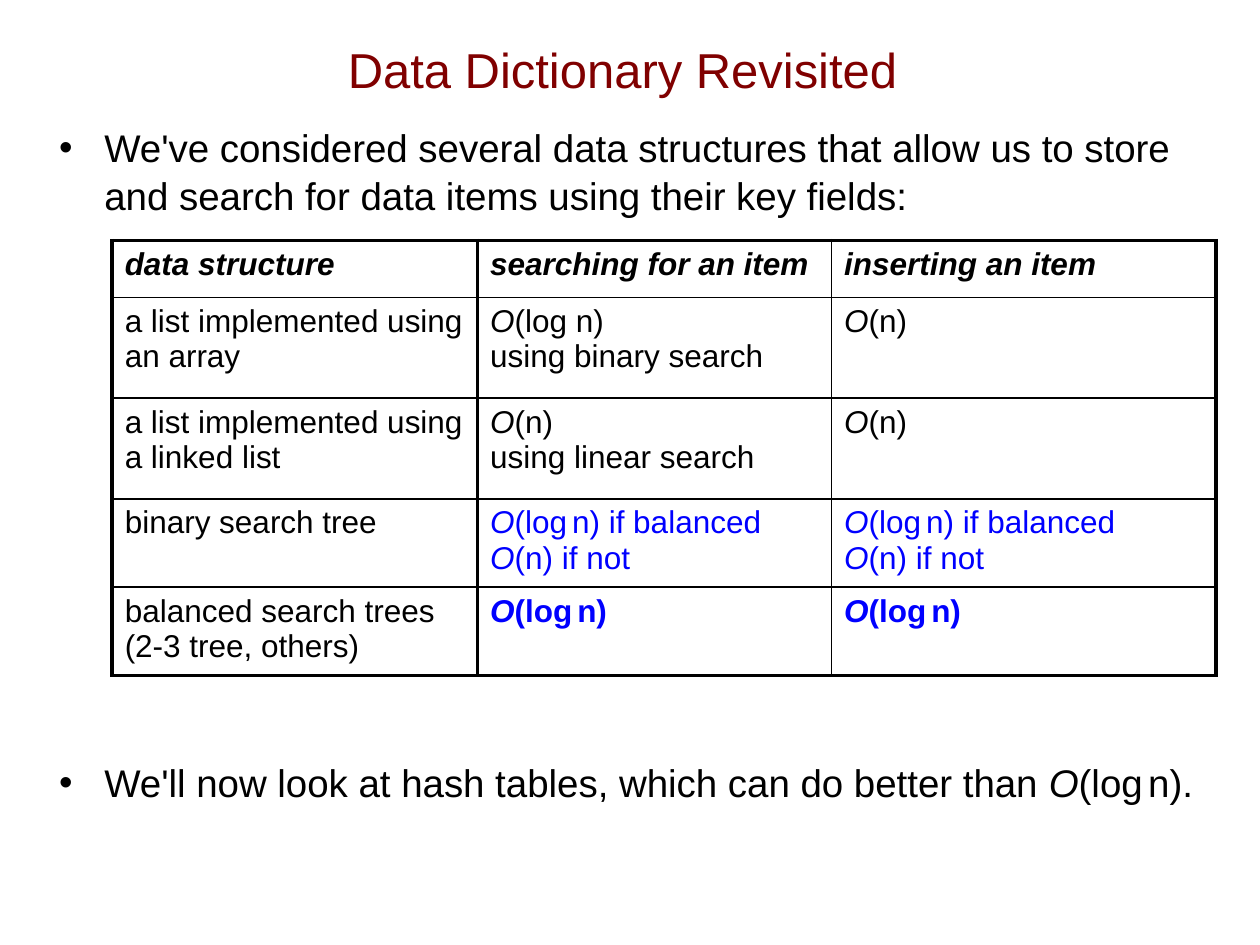
from lxml import etree
from pptx import Presentation
from pptx.dml.color import RGBColor
from pptx.enum.text import MSO_ANCHOR, PP_ALIGN
from pptx.oxml.ns import qn
from pptx.util import Inches, Pt

MIDDLE = MSO_ANCHOR.MIDDLE
CENTER = PP_ALIGN.CENTER
FONT = "Arial"
COLORS = {"title": "800000", "text": "000000", "tree": "0000FF",
          "border": "000000", "paper": "FFFFFF"}
TITLE_SIZE, BODY_SIZE, CELL_SIZE = 28, 22, 18
THICK, THIN = 2.25, 1

COLUMN_WIDTHS = [2.9, 2.81, 3.05]
ROW_HEIGHTS = [0.45, 0.8, 0.8, 0.7, 0.7]


def plain(text, **style):
    """One line holding a single run."""
    return [(text, style)]


def big_o(argument, **style):
    """Runs for a bound, with the O in italics."""
    return [("O", {**style, "italic": True}), (argument, style)]


def big_o_log(ending, gap_size, **style):
    """Runs for O(log n), with a narrow gap before the n."""
    return [*big_o("(log", **style), (" ", {**style, "size": gap_size}),
            (ending, style)]


def table_rows():
    """Each cell is a list of paragraphs, each paragraph a list of runs."""
    heading = {"bold": True, "italic": True}
    blue = {"color": "tree"}
    tree_bounds = [big_o_log("n) if balanced", 10, **blue),
                   big_o("(n) if not", **blue)]
    balanced_bound = [big_o_log("n)", 10, bold=True, **blue)]
    return [
        [[plain(label, **heading)] for label in
         ("data structure", "searching for an item", "inserting an item")],
        [[plain("a list implemented using an array")],
         [big_o("(log n)"), plain("using binary search")],
         [big_o("(n)")]],
        [[plain("a list implemented using a linked list")],
         [big_o("(n)"), plain("using linear search")],
         [big_o("(n)")]],
        [[plain("binary search tree")], tree_bounds, tree_bounds],
        [[plain("balanced search trees"
                " \n(2-3 tree, others)")], balanced_bound, balanced_bound],
    ]


def add_runs(paragraph, runs, base_size):
    for text, style in runs:
        for index, part in enumerate(text.split("\n")):
            if index:
                paragraph.add_line_break()
            run = paragraph.add_run()
            run.text = part
            font = run.font
            font.name = FONT
            font.size = Pt(style.get("size", base_size))
            font.bold = style.get("bold", False)
            font.italic = style.get("italic", False)
            font.color.rgb = RGBColor.from_string(
                COLORS[style.get("color", "text")])


def fill_paragraphs(frame, paragraphs, base_size):
    for index, runs in enumerate(paragraphs):
        paragraph = frame.add_paragraph() if index else frame.paragraphs[0]
        add_runs(paragraph, runs, base_size)


def set_bullet(paragraph):
    properties = paragraph._p.get_or_add_pPr()
    properties.set("marL", str(Inches(0.36)))
    properties.set("indent", str(-Inches(0.36)))
    etree.SubElement(properties, qn("a:buFont"), typeface=FONT)
    etree.SubElement(properties, qn("a:buChar"), char="•")


def set_borders(cell, widths):
    """Widths run left, right, top, bottom."""
    properties = cell._tc.get_or_add_tcPr()
    for position, (side, width) in enumerate(zip("LRTB", widths)):
        line = etree.Element(qn(f"a:ln{side}"), w=str(Pt(width)))
        fill = etree.SubElement(line, qn("a:solidFill"))
        etree.SubElement(fill, qn("a:srgbClr"), val=COLORS["border"])
        properties.insert(position, line)


def add_title(slide):
    title = slide.shapes.title
    title.left, title.top = Inches(0.64), Inches(0.08)
    title.width, title.height = Inches(8.6), Inches(0.93)
    title.text_frame.vertical_anchor = MIDDLE
    paragraph = title.text_frame.paragraphs[0]
    paragraph.alignment = CENTER
    add_runs(paragraph, plain("Data Dictionary Revisited", color="title"),
             TITLE_SIZE)


def add_points(slide):
    box = slide.shapes.add_textbox(Inches(0.37), Inches(0.92),
                                   Inches(9.28), Inches(6.14))
    frame = box.text_frame
    frame.word_wrap = True
    fill_paragraphs(frame, [
        plain("We've considered several data structures that allow us to "
              "store and search for data items using their key fields:"),
        plain("We'll now look at hash tables, which can do better than ")
        + big_o_log("n).", 11),
    ], BODY_SIZE)
    for paragraph in frame.paragraphs:
        paragraph.line_spacing = 1.04
        set_bullet(paragraph)
    # Room for the table between the two points
    frame.paragraphs[1].space_before = Pt(308)


def add_comparison(slide):
    rows = table_rows()
    last_row, last_column = len(rows) - 1, len(COLUMN_WIDTHS) - 1
    table = slide.shapes.add_table(
        len(rows), len(COLUMN_WIDTHS), Inches(0.89), Inches(1.91),
        Inches(sum(COLUMN_WIDTHS)), Inches(sum(ROW_HEIGHTS))).table
    for column, width in zip(table.columns, COLUMN_WIDTHS):
        column.width = Inches(width)
    for row, height in zip(table.rows, ROW_HEIGHTS):
        row.height = Inches(height)

    for r, row_cells in enumerate(rows):
        for c, paragraphs in enumerate(row_cells):
            cell = table.cell(r, c)
            cell.fill.solid()
            cell.fill.fore_color.rgb = RGBColor.from_string(COLORS["paper"])
            fill_paragraphs(cell.text_frame, paragraphs, CELL_SIZE)
            # Thick frame, and a thick line after the first column
            set_borders(cell, [
                THICK if c <= 1 else THIN,
                THICK if c in (0, last_column) else THIN,
                THICK if r == 0 else THIN,
                THICK if r == last_row else THIN,
            ])


def main():
    deck = Presentation()
    deck.slide_width, deck.slide_height = Inches(10), Inches(7.5)
    slide = deck.slides.add_slide(deck.slide_layouts[5])
    add_title(slide)
    add_points(slide)
    add_comparison(slide)
    deck.save("out.pptx")


if __name__ == "__main__":
    main()
